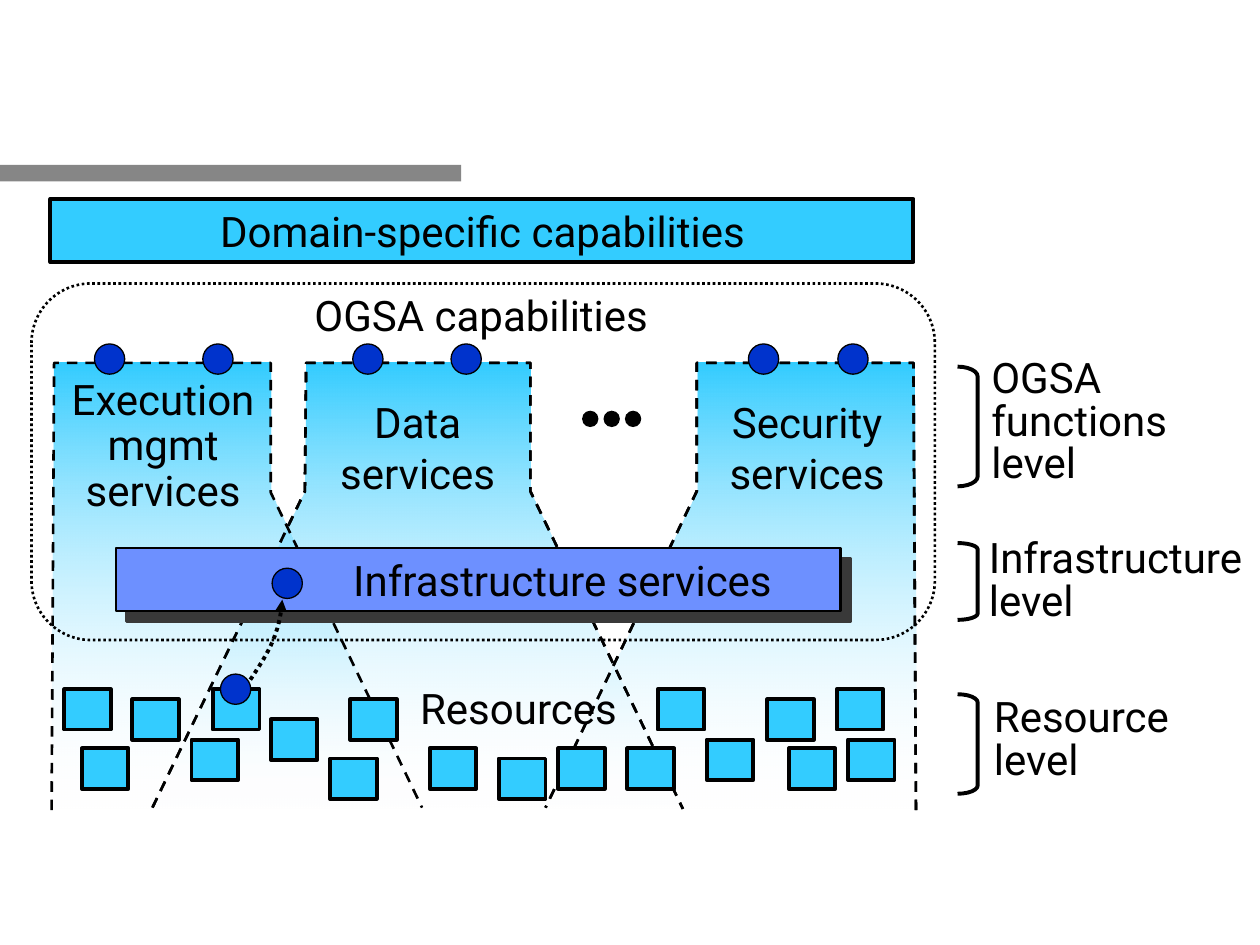
from lxml import etree
from pptx import Presentation, util as u
from pptx.dml.color import RGBColor
from pptx.enum import dml, shapes, text
from pptx.oxml import ns

BLACK = RGBColor(0x00, 0x00, 0x00)
GREY = RGBColor(0x86, 0x86, 0x86)
SKY = RGBColor(0x33, 0xCC, 0xFF)
WHITE = RGBColor(0xFF, 0xFF, 0xFF)
NAVY = RGBColor(0x00, 0x33, 0xCC)
PERIWINKLE = RGBColor(0x6D, 0x90, 0xFF)
DASH = dml.MSO_LINE.DASH
DOTS = dml.MSO_LINE.ROUND_DOT  # written as sysDot
KIND = shapes.MSO_SHAPE

deck = Presentation()
deck.slide_width, deck.slide_height = u.Inches(10), u.Inches(7.5)
page = deck.slides.add_slide(deck.slide_layouts[6])
CELL = deck.slide_width // 100  # grid of 100 columns by 75 rows


def draw(kind, place, fill=None, line=BLACK, width=1.5, dash=None):
    """Draw a preset at (column, row, columns, rows), or an open outline through points if kind is None."""
    if kind is None:
        points = [(round(x * CELL), round(y * CELL)) for x, y in place]
        builder = page.shapes.build_freeform(*points[0])
        builder.add_line_segments(points[1:], close=False)
        shape = builder.convert_to_shape()
    else:
        shape = page.shapes.add_shape(kind, *(round(n * CELL) for n in place))
    shape.shadow.inherit = False
    if fill is None:
        shape.fill.background()
    else:
        shape.fill.solid()
        shape.fill.fore_color.rgb = fill
    if line is None:
        shape.line.fill.background()
    else:
        shape.line.color.rgb = line
        shape.line.width = u.Pt(width)
        if dash is not None:
            shape.line.dash_style = dash
    return shape


def write(words, place, align=text.PP_ALIGN.CENTER, spacing=1.0):
    box = page.shapes.add_textbox(*(round(n * CELL) for n in place))
    frame = box.text_frame
    frame.word_wrap = False
    frame.auto_size = text.MSO_AUTO_SIZE.SHAPE_TO_FIT_TEXT
    frame.text = words
    for para in frame.paragraphs:
        para.alignment = align
        para.line_spacing = spacing
        para.font.name = "Roboto"
        para.font.size = u.Pt(24)
        para.font.color.rgb = BLACK


draw(KIND.RECTANGLE, (0, 13.1, 36.6, 1.3), GREY, None)

# Service areas, fading out towards the resources
security = [(72.7, 64.3), (72.5, 28.8), (55.3, 28.8), (55.3, 39), (43.3, 64.1)]
data = [(12.1, 64.1), (24.2, 39), (24.3, 28.8), (42.1, 28.8), (42.1, 39), (54.2, 64.2)]
execution = [(4.1, 64.3), (4.3, 28.8), (21.5, 28.8), (21.5, 39.1), (33.5, 64.1)]
for outline in (security, data, execution):
    area = draw(None, outline, SKY, dash=DASH)
    area.fill.gradient()
    area.fill.gradient_angle = 270
    for stop, color in zip(area.fill.gradient_stops, (SKY, WHITE)):
        stop.color.rgb = color
    faded = area._element.spPr.findall(".//" + ns.qn("a:srgbClr"))[1]
    etree.SubElement(faded, ns.qn("a:alpha"), val="0")

for step in range(3):
    draw(KIND.OVAL, (46.2 + 1.7 * step, 32.6, 1.3, 1.3), BLACK, None)

# Levels on the right
for words, left, top, columns, rows, bracket_top, height in (
    ("OGSA\nfunctions\nlevel", 77.7, 28, 16.6, 11.2, 29.1, 9.5),
    ("Infrastructure\nlevel", 77.5, 42.3, 22.5, 7.8, 43.1, 6.1),
    ("Resource\nlevel", 77.9, 54.9, 16.5, 7.8, 55.1, 7.9),
):
    write(words, (left, top, columns, rows), text.PP_ALIGN.LEFT, 0.85)
    bracket = draw(KIND.RIGHT_BRACKET, (76, bracket_top, 1.6, height), width=2.25)
    bracket.adjustments[0] = height / 12 / 1.6

# Capabilities
draw(KIND.RECTANGLE, (4, 15.8, 68.5, 5), SKY, width=2.25)
write("Domain-specific capabilities", (15.6, 15.8, 45.4, 5))
draw(KIND.ROUNDED_RECTANGLE, (2.5, 22.5, 71.7, 28.3), dash=DOTS)
write("OGSA capabilities", (23.5, 22.5, 29.4, 5))
write("Execution\nmgmt\nservices", (4.3, 29.6, 17.3, 11.8), spacing=0.9)
write("Data\nservices", (25.9, 31, 14.5, 9))
write("Security\nservices", (56.8, 31, 14.5, 9))

for outline in (security, data):
    draw(None, outline, dash=DASH)
for left in (7.5, 16.1, 28, 35.8, 59.4, 66.5):
    draw(KIND.OVAL, (left, 27.3, 2.4, 2.4), NAVY, width=0.75)

# Resources, scattered over a few rows
write("Resources", (32.1, 53.7, 18.1, 5))
resource_rows = {
    54.7: (5.1, 16.9, 52.2, 66.4),
    55.5: (10.5, 27.8, 60.9),
    57.1: (21.5,),
    58.7: (15.2, 56.1, 67.3),
    59.4: (6.5, 34.1, 44.3, 49.8, 62.6),
    60.2: (26.2, 39.6),
}
for top, lefts in resource_rows.items():
    for left in lefts:
        draw(KIND.RECTANGLE, (left, top, 3.7, 3.2), SKY, width=2.25)

# Infrastructure bar with a hard shadow
bar = draw(KIND.RECTANGLE, (9.2, 43.5, 57.5, 5), PERIWINKLE)
effects = bar._element.spPr.find(ns.qn("a:effectLst"))
shadow = etree.SubElement(effects, ns.qn("a:outerShdw"), dist=str(u.Pt(8.5)),
                          dir="2700000", algn="ctr", rotWithShape="0")
etree.SubElement(shadow, ns.qn("a:srgbClr"), val="393939")

# Curved arrow from a resource to the bar, along a Bezier curve
bends = ((19.2, 55), (20.6, 52.7), (22.2, 51), (22.4, 47.6))
curve = []
for step in range(13):
    t = step / 12
    weights = ((1 - t) ** 3, 3 * t * (1 - t) ** 2, 3 * t ** 2 * (1 - t), t ** 3)
    curve.append(tuple(sum(w * bend[axis] for w, bend in zip(weights, bends)) for axis in (0, 1)))
arrow = draw(None, curve, width=2.25, dash=DOTS)
etree.SubElement(arrow.line._get_or_add_ln(), ns.qn("a:tailEnd"), type="triangle")

for left, top in ((17.5, 53.5), (21.6, 45.1)):
    draw(KIND.OVAL, (left, top, 2.4, 2.4), NAVY, width=0.75)
write("Infrastructure services", (26, 43.5, 37.3, 5))

deck.save("out.pptx")
